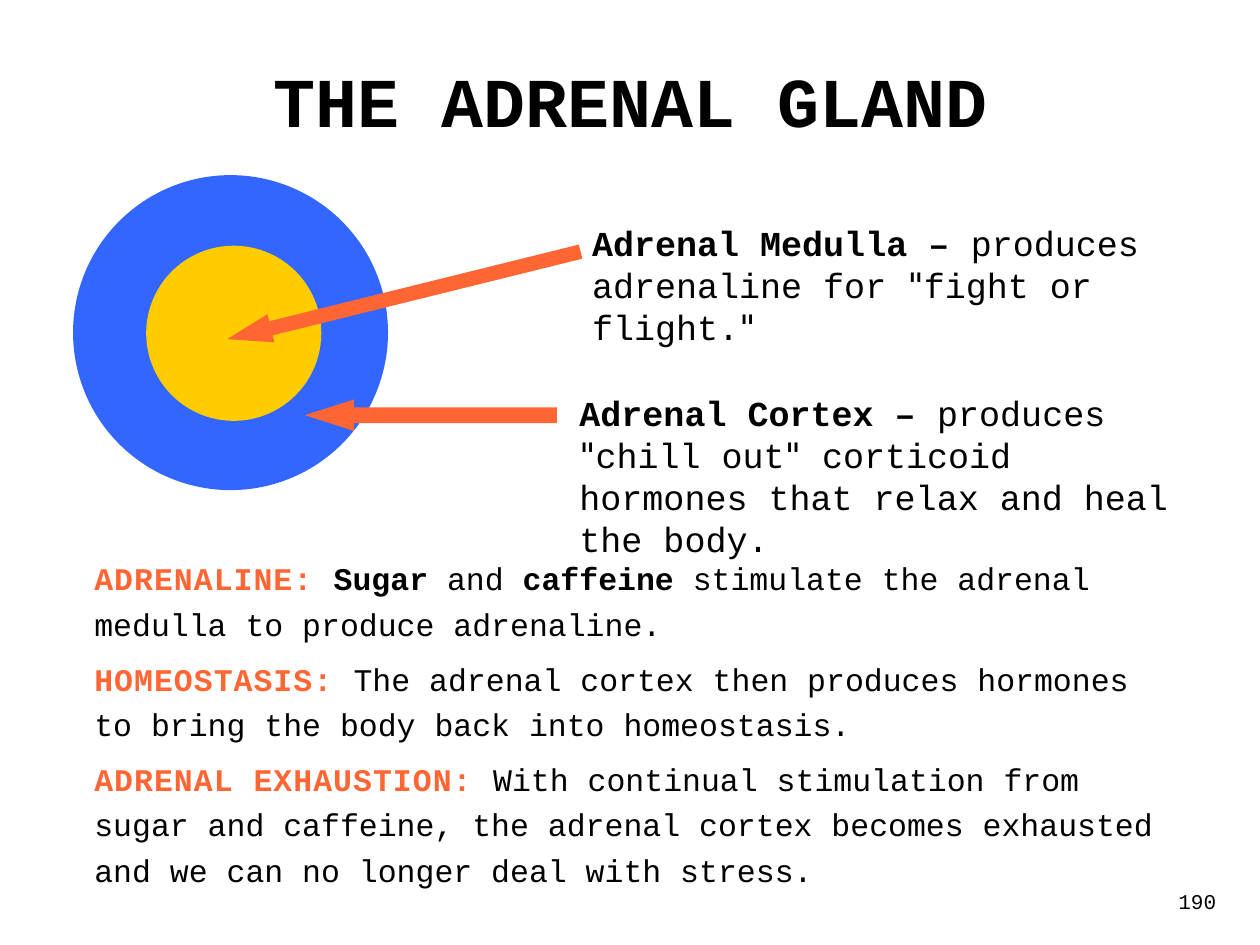
from typing import NamedTuple

from pptx import Presentation
from pptx.dml.color import RGBColor
from pptx.enum.shapes import MSO_SHAPE as Shape
from pptx.enum.text import MSO_ANCHOR as Anchor, PP_ALIGN as Align
from pptx.util import Inches, Pt

WIDTH, HEIGHT = 10, 7.5
MONO, SANS = "Courier New", "DejaVu Sans"
BLACK, ORANGE, BLUE, YELLOW = "000000", "FF6633", "3366FF", "FFCC00"


class Box(NamedTuple):
    left: float
    top: float
    width: float
    height: float


class Span(NamedTuple):
    text: str
    bold: bool = False
    font: str = MONO
    color: str = BLACK
    spacing: float = 0


class TextBlock(NamedTuple):
    box: Box
    size: float
    paragraphs: list[list[Span]]
    align: Align = Align.LEFT
    anchor: Anchor = Anchor.TOP
    line_spacing: float = 1
    gap: float = 0


class Figure(NamedTuple):
    kind: Shape
    box: Box
    color: str
    rotation: float = 0


QUOTE = Span('"', font=SANS)


def heading(text: str) -> Span:
    """Return a bold, spaced orange lead-in."""
    return Span(text, True, color=ORANGE, spacing=0.6)


TEXTS = [
    TextBlock(Box(0.75, 0.33, 8.5, 0.92), 40, [[Span("THE ADRENAL GLAND", True)]],
              Align.CENTER, Anchor.MIDDLE),
    TextBlock(Box(4.6, 1.71, 4.81, 0.77), 20, [[
        Span("Adrenal Medulla – ", True), Span("produces adrenaline for "),
        QUOTE, Span("fight or flight."), QUOTE]]),
    TextBlock(Box(4.5, 3.06, 5.08, 1.11), 20, [[
        Span("Adrenal Cortex – ", True), Span("produces "),
        QUOTE, Span("chill out"), QUOTE,
        Span(" corticoid hormones that relax and heal the body.")]]),
    TextBlock(Box(0.65, 4.33, 8.69, 2.82), 18, [
        [heading("ADRENALINE: "), Span("Sugar", True), Span(" and "),
         Span("caffeine", True),
         Span(" stimulate the adrenal medulla to produce adrenaline.")],
        [heading("HOMEOSTASIS: "),
         Span("The adrenal cortex then produces hormones to bring the body "
              "back into homeostasis.")],
        [heading("ADRENAL EXHAUSTION: "),
         Span("With continual stimulation from sugar and caffeine, the adrenal "
              "cortex becomes exhausted and we can no longer deal with stress.")],
    ], line_spacing=1.2, gap=5.5),
    TextBlock(Box(7.67, 7, 2.08, 0.5), 12, [[Span("190")]], Align.RIGHT),
]

FIGURES = [
    Figure(Shape.OVAL, Box(0.58, 1.39, 2.5, 2.5), BLUE),
    Figure(Shape.OVAL, Box(1.16, 1.95, 1.39, 1.39), YELLOW),
    Figure(Shape.LEFT_ARROW, Box(1.76, 2.23, 2.89, 0.23), ORANGE, 346.1),
    Figure(Shape.LEFT_ARROW, Box(2.42, 3.17, 2, 0.25), ORANGE),
]


def rgb(color: str) -> RGBColor:
    """Convert a hex string to a colour."""
    return RGBColor.from_string(color)


def add_text(s, block: TextBlock) -> None:
    """Draw a text block with its styled spans."""
    tf = s.shapes.add_textbox(*map(Inches, block.box)).text_frame
    tf.word_wrap = True
    tf.vertical_anchor = block.anchor
    for i, spans in enumerate(block.paragraphs):
        p = tf.add_paragraph() if i else tf.paragraphs[0]
        p.alignment = block.align
        p.line_spacing = block.line_spacing
        p.space_before = Pt(block.gap if i else 0)
        for span in spans:
            r = p.add_run()
            r.text = span.text
            r.font.name, r.font.size, r.font.bold = span.font, Pt(block.size), span.bold
            r.font.color.rgb = rgb(span.color)
            if span.spacing:
                r._r.get_or_add_rPr().set("spc", str(round(span.spacing * 100)))


def add_figure(s, figure: Figure) -> None:
    """Draw a flat shape without outline or shadow."""
    sp = s.shapes.add_shape(figure.kind, *map(Inches, figure.box))
    sp.shadow.inherit = False
    sp.fill.solid()
    sp.fill.fore_color.rgb = rgb(figure.color)
    sp.line.fill.background()
    sp.rotation = figure.rotation
    if figure.kind == Shape.LEFT_ARROW:
        sp.adjustments[0], sp.adjustments[1] = 0.5, 1.56


def main() -> None:
    """Build and save the slide."""
    prs = Presentation()
    prs.slide_width, prs.slide_height = Inches(WIDTH), Inches(HEIGHT)
    s = prs.slides.add_slide(prs.slide_layouts[6])
    for block in TEXTS:
        add_text(s, block)
    for figure in FIGURES:
        add_figure(s, figure)
    prs.save("out.pptx")


if __name__ == "__main__":
    main()
